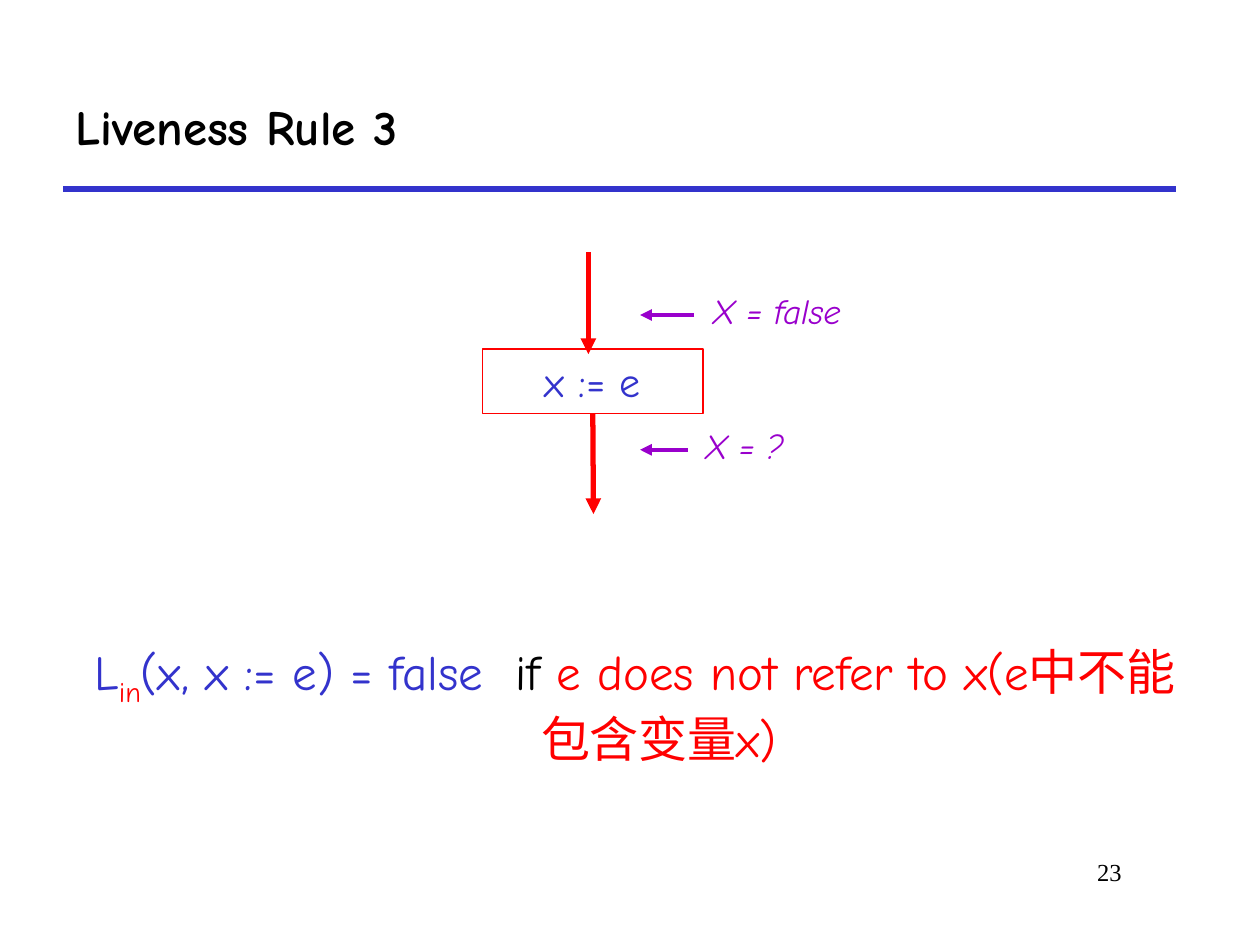
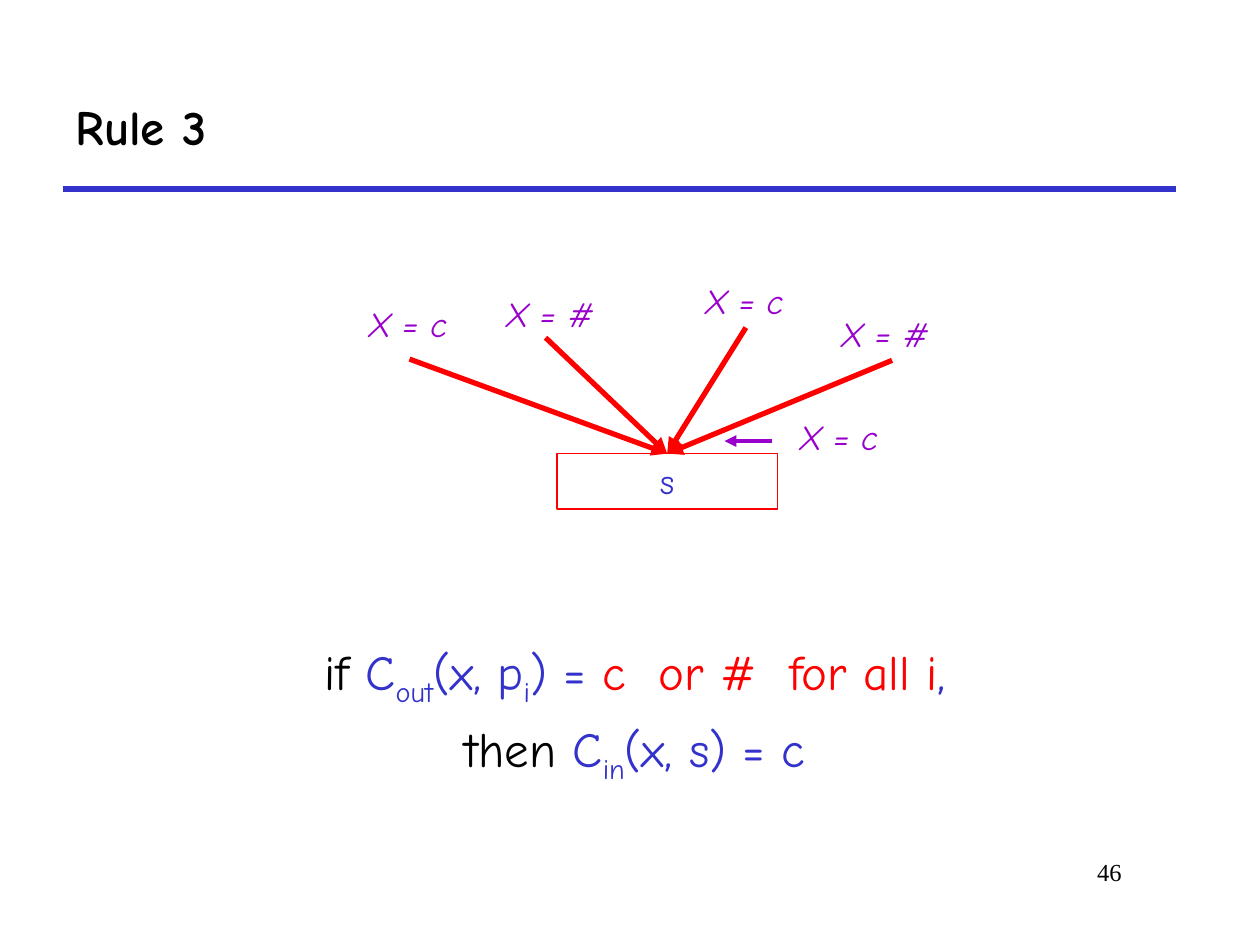
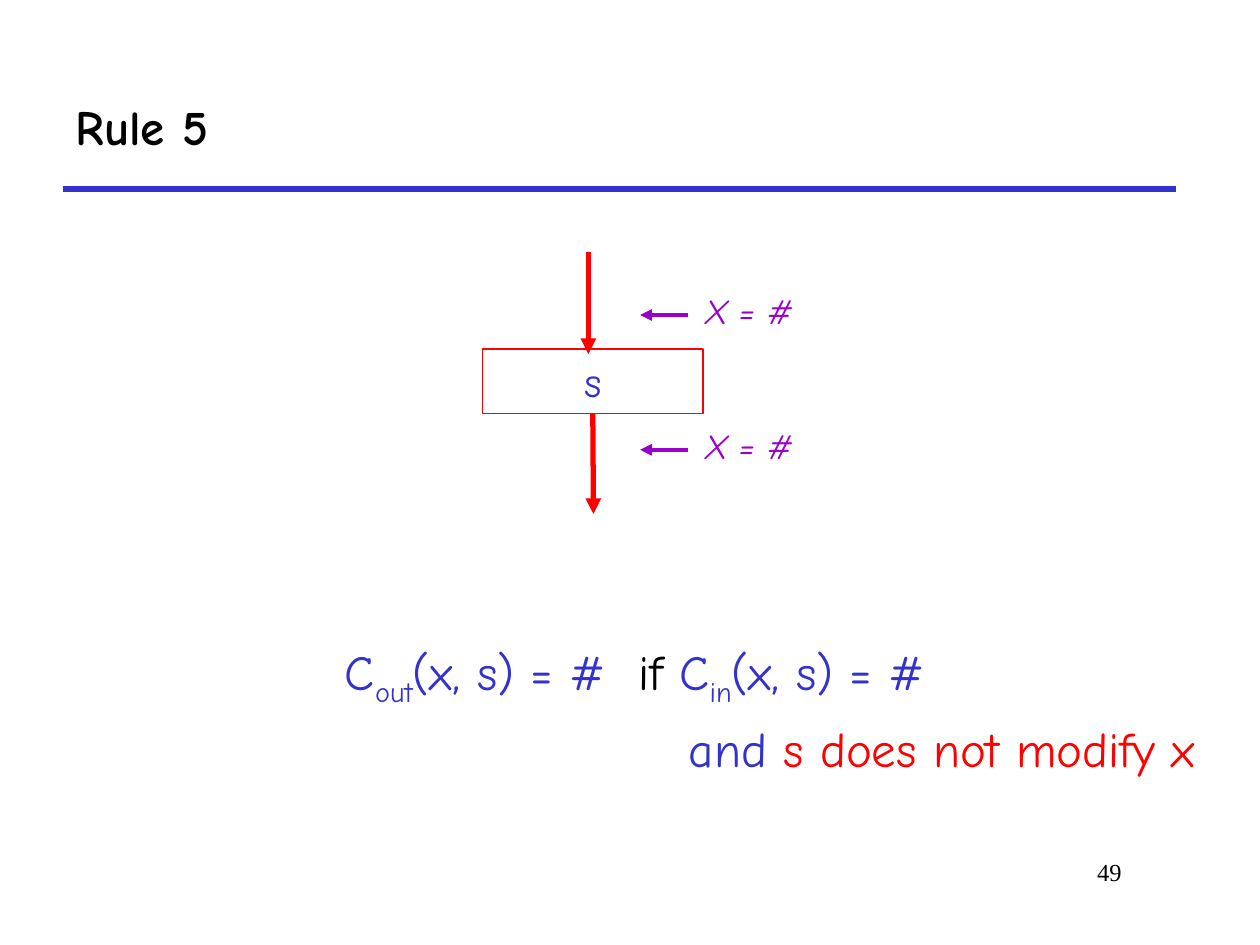
from dataclasses import dataclass
from typing import Optional

from lxml import etree
from pptx import Presentation
from pptx import util as u
from pptx.dml.color import RGBColor
from pptx.enum import shapes, text
from pptx.oxml.ns import qn

HUES = {
    "ink": "000000",
    "blue": "3333CC",
    "red": "FF0000",
    "plum": "9900CC",
}
SANS = "Comic Neue"
SERIF = "Times New Roman"
LEFT, MID, RIGHT = text.PP_ALIGN.LEFT, text.PP_ALIGN.CENTER, text.PP_ALIGN.RIGHT
HANG = u.Inches(0.38)


@dataclass
class Area:
    left: float
    top: float
    width: float
    height: float

    def lengths(self) -> list:
        return [u.Inches(n) for n in (self.left, self.top, self.width, self.height)]


@dataclass
class Piece:
    words: str
    hue: str = "blue"
    sub: bool = False


@dataclass
class Line:
    bits: list
    align: text.PP_ALIGN = MID


@dataclass
class Tag:
    words: str
    left: float
    top: float
    width: float
    start: Optional[float] = None
    tip: float = 5.08


@dataclass
class Page:
    title: str
    number: int
    lines: list
    tags: list
    state: str
    merge: bool = False


TITLE = Area(0.5, 0.5, 8.83, 1)
BODY = Area(0.5, 5.04, 9.08, 1.54)
NUMBER = Area(6.92, 6.75, 2.08, 0.5)
FLOW_BOX = Area(3.83, 2.77, 1.75, 0.51)
MERGE_BOX = Area(4.42, 3.6, 1.75, 0.44)
SOURCES = [(3.25, 2.85), (5.92, 2.6), (4.33, 2.68), (7.08, 2.86)]

PAGES = [
    Page(
        "Liveness Rule 3", 23,
        [Line([Piece("L"), Piece("in", "red", True),
               Piece("(x, x := e) = false "), Piece(" if ", "ink"),
               Piece("e does not refer to x(e中不能包含变量x)", "red")])],
        [Tag("X = false", 5.56, 2.25, 1.52, 5.51),
         Tag("X = ?", 5.5, 3.32, 1.33, 5.46)],
        "x := e",
    ),
    Page(
        "Rule 3", 46,
        [Line([Piece("if ", "ink"), Piece("C"), Piece("out", sub=True),
               Piece("(x, p"), Piece("i", sub=True), Piece(") = "),
               Piece("c  or #  for all i", "red"), Piece(",")]),
         Line([Piece("then ", "ink"), Piece("C"), Piece("in", sub=True),
               Piece("(x, s) = c")])],
        [Tag("X = c", 5.5, 2.17, 0.92),
         Tag("X = c", 6.25, 3.25, 0.92, 6.13, 5.75),
         Tag("X = #", 6.58, 2.43, 1.33),
         Tag("X = #", 3.92, 2.27, 1.25),
         Tag("X = c", 2.83, 2.35, 0.92)],
        "s", True,
    ),
    Page(
        "Rule 5", 49,
        [Line([Piece("C"), Piece("out", sub=True), Piece("(x, s) = # "),
               Piece(" if ", "ink"), Piece("C"), Piece("in", sub=True),
               Piece("(x, s) = #")]),
         Line([Piece("and "), Piece("s does not modify x", "red")], RIGHT)],
        [Tag("X = #", 5.5, 2.25, 1.33, 5.46),
         Tag("X = #", 5.5, 3.32, 1.33, 5.46)],
        "s",
    ),
]


def shade(hue: str) -> RGBColor:
    return RGBColor.from_string(HUES[hue])


def style(run, size: float, hue: str, face: str = SANS,
          bold: bool = False, slant: bool = False) -> None:
    font = run.font
    font.size, font.name = u.Pt(size), face
    font.bold, font.italic = bold, slant
    font.color.rgb = shade(hue)


def write(shape, words: str, size: float, hue: str, align=LEFT, **looks) -> None:
    frame = shape.text_frame
    frame.text = words
    frame.word_wrap = True
    para = frame.paragraphs[0]
    para.alignment = align
    style(para.runs[0], size, hue, **looks)


def place(shape, area: Area) -> None:
    shape.left, shape.top, shape.width, shape.height = area.lengths()


def draw_line(slide, start: tuple, end: tuple, hue: str, width: float,
              head: bool = True):
    ends = [u.Inches(n) for n in (*start, *end)]
    line = slide.shapes.add_connector(shapes.MSO_CONNECTOR.STRAIGHT, *ends)
    line.line.color.rgb = shade(hue)
    line.line.width = u.Pt(width)
    if head:
        etree.SubElement(line.line._get_or_add_ln(), qn("a:tailEnd"), type="triangle")
    etree.SubElement(line.element.spPr, qn("a:effectLst"))
    return line


def draw_box(slide, area: Area, words: str, size: float):
    box = slide.shapes.add_shape(shapes.MSO_SHAPE.RECTANGLE, *area.lengths())
    box.shadow.inherit = False
    box.fill.background()
    box.line.color.rgb = shade("red")
    box.line.width = u.Pt(0.75)
    box.text_frame.vertical_anchor = text.MSO_ANCHOR.TOP
    write(box, words, size, "blue", MID)
    return box


def draw_tag(slide, tag: Tag) -> None:
    area = Area(tag.left, tag.top, tag.width, 0.43)
    box = slide.shapes.add_textbox(*area.lengths())
    write(box, tag.words, 20, "plum", slant=True)
    if tag.start is not None:
        level = tag.top + 0.25
        draw_line(slide, (tag.start, level), (tag.tip, level), "plum", 2.25)


def draw_flow(slide, state: str) -> None:
    box = draw_box(slide, FLOW_BOX, state, 24)
    below = draw_line(slide, (4.71, 3.28), (4.71, 4.08), "red", 3)
    below.begin_connect(box, 2)
    draw_line(slide, (4.67, 2), (4.67, 2.81), "red", 3)


def draw_merge(slide, state: str) -> None:
    box = draw_box(slide, MERGE_BOX, state, 20)
    for source in SOURCES:
        arrow = draw_line(slide, source, (5.29, 3.6), "red", 3)
        arrow.end_connect(box, 0)


def fill_body(body, lines: list) -> None:
    place(body, BODY)
    frame = body.text_frame
    frame.auto_size = text.MSO_AUTO_SIZE.NONE
    frame.vertical_anchor = text.MSO_ANCHOR.TOP
    for index, line in enumerate(lines):
        para = frame.add_paragraph() if index else frame.paragraphs[0]
        para.alignment = line.align
        if not index:
            para.space_before = u.Pt(0)
        props = para._p.get_or_add_pPr()
        props.set("marL", str(HANG))
        props.set("indent", str(-HANG))
        etree.SubElement(props, qn("a:buNone"))
        for bit in line.bits:
            run = para.add_run()
            run.text = bit.words
            style(run, 28, bit.hue)
            if bit.sub:
                run._r.get_or_add_rPr().set("baseline", "-25000")


def draw_page(deck, page: Page) -> None:
    slide = deck.slides.add_slide(deck.slide_layouts[1])
    draw_line(slide, (0.5, 1.5), (9.33, 1.5), "blue", 3, head=False)
    title = slide.shapes.title
    place(title, TITLE)
    title.text_frame.auto_size = text.MSO_AUTO_SIZE.NONE
    title.text_frame.vertical_anchor = text.MSO_ANCHOR.MIDDLE
    write(title, page.title, 28, "ink", bold=True)
    fill_body(slide.placeholders[1], page.lines)
    number = slide.shapes.add_textbox(*NUMBER.lengths())
    write(number, str(page.number), 14, "ink", RIGHT, face=SERIF)
    draw = draw_merge if page.merge else draw_flow
    draw(slide, page.state)
    for tag in page.tags:
        draw_tag(slide, tag)


def main() -> None:
    deck = Presentation()
    deck.slide_width, deck.slide_height = u.Inches(10), u.Inches(7.5)
    for page in PAGES:
        draw_page(deck, page)
    deck.save("out.pptx")


if __name__ == "__main__":
    main()
